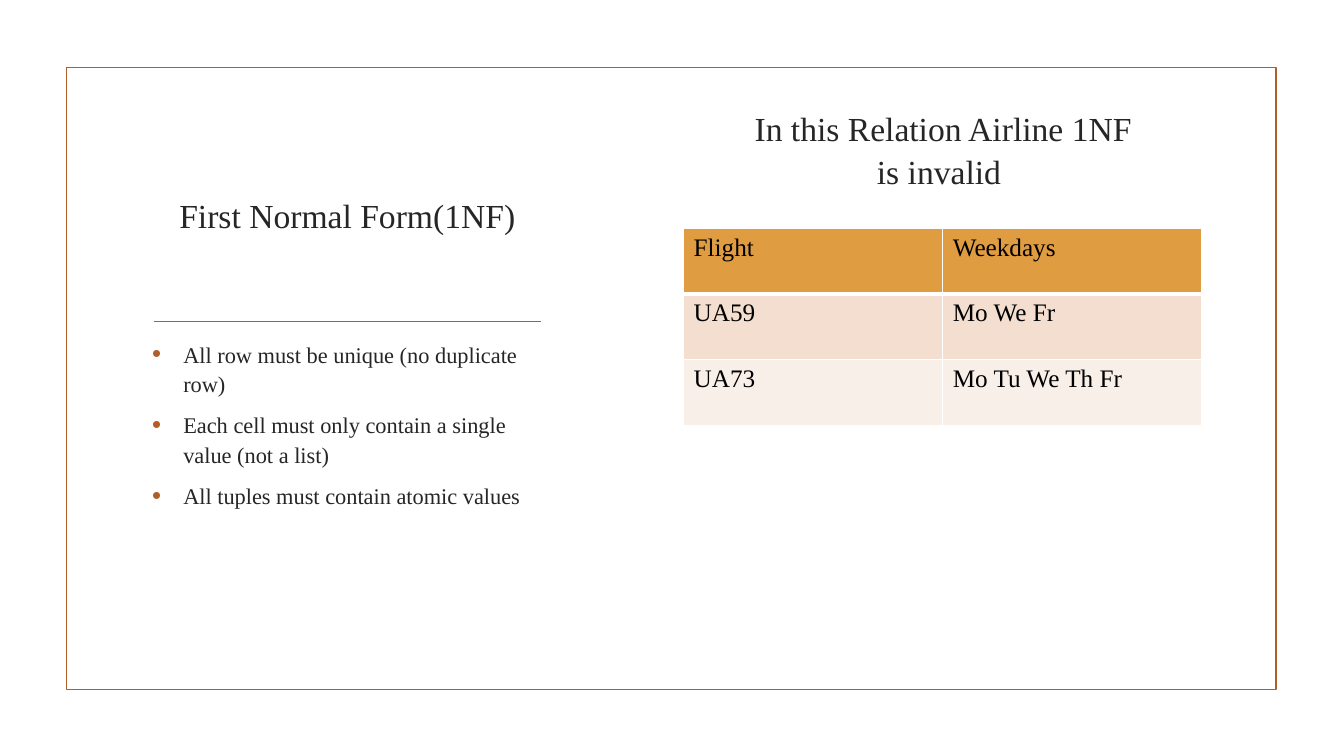
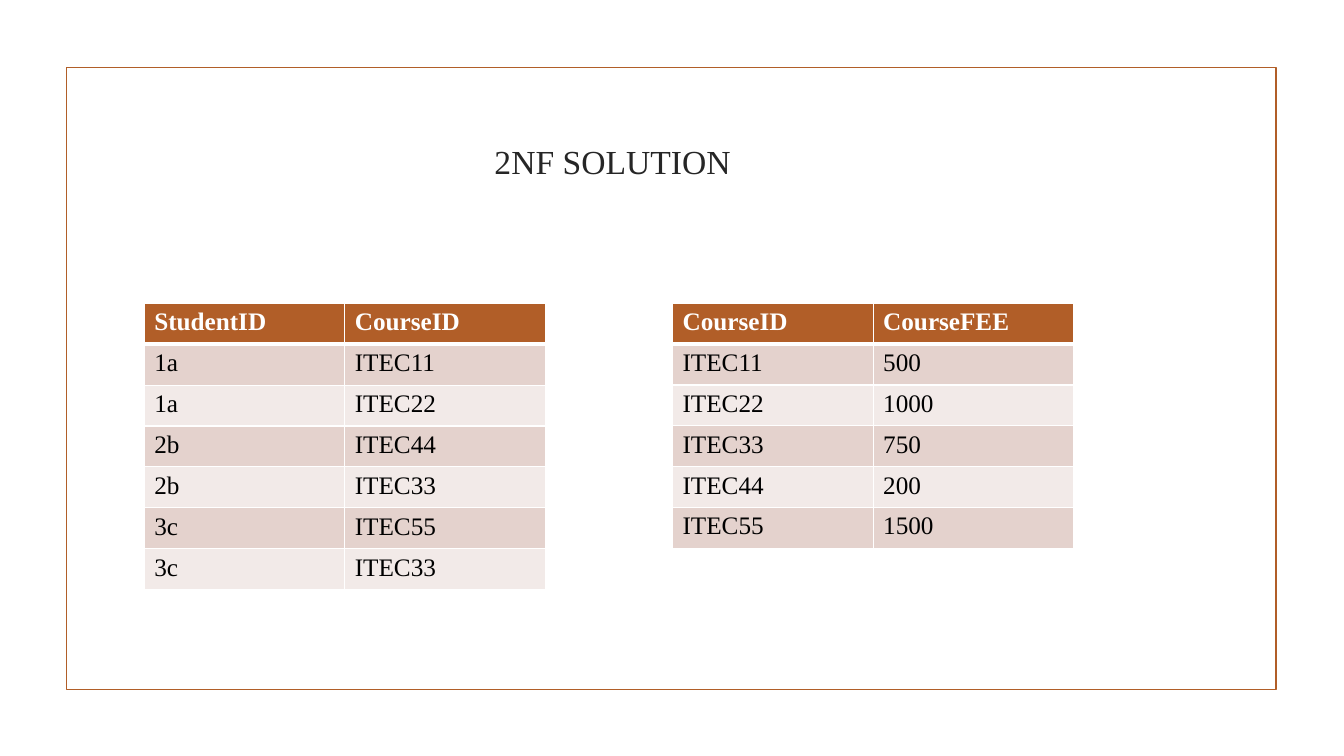
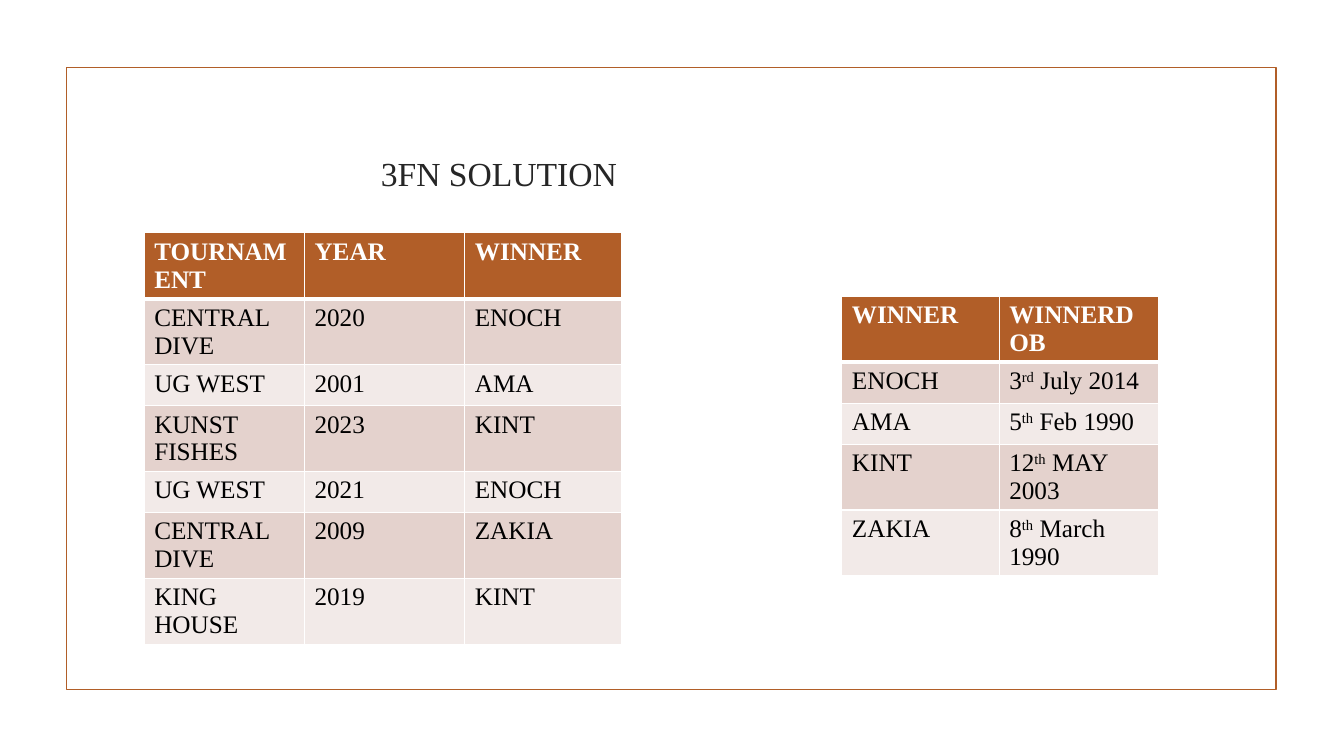
from lxml.etree import SubElement
from pptx import Presentation
from pptx.dml.color import RGBColor
from pptx.enum.shapes import MSO_CONNECTOR as Connector, MSO_SHAPE as Shape
from pptx.enum.text import MSO_ANCHOR as Anchor, PP_ALIGN as Align
from pptx.oxml.ns import qn
from pptx.util import Inches, Pt

FONT = "Times New Roman"
COLORS = {"accent": "B15E28", "text": "262626", "black": "000000", "white": "FFFFFF"}
AMBER = {"head": "E09C41", "bands": ("F3DECF", "F9EFE9"), "head_text": "black", "bold": False}
RUST = {"head": "B15E28", "bands": ("E4D2CD", "F2EAE8"), "head_text": "white", "bold": True}

# Content: boxes are left, top, width, height; ^ encloses superscripts
RULES = [
    "All row must be unique (no duplicate row)",
    "Each cell must only contain a single value (not a list)",
    "All tuples must contain atomic values",
]
SLIDES = [
    {
        "title": "First Normal Form(1NF)", "title_box": (1.41, 1.52, 4.07, 0.86),
        "subtitle": "In this Relation Airline 1NF is invalid ",
        "subtitle_box": (7.32, 1.09, 4.07, 0.86),
        "bullets": RULES, "bullets_box": (1.41, 3.31, 4.07, 2.67),
        "rule": (1.53, 3.19, 5.37, 3.19),
        "tables": [
            {"at": (6.78, 2.27), "widths": (2.57, 2.57), "height": 1.95, "style": AMBER,
             "rows": [("Flight", "Weekdays"), ("UA59", "Mo We Fr"),
                      ("UA73", "Mo Tu We Th Fr")]},
        ],
    },
    {
        "title": "2NF SOLUTION", "title_box": (2.39, 1.22, 7.37, 0.63),
        "tables": [
            {"at": (1.43, 3.01), "widths": (1.99, 1.99), "height": 2.84, "style": RUST,
             "rows": [("StudentID", "CourseID"), ("1a", "ITEC11"), ("1a", "ITEC22"),
                      ("2b", "ITEC44"), ("2b", "ITEC33"), ("3c", "ITEC55"),
                      ("3c", "ITEC33")]},
            {"at": (6.67, 3.01), "widths": (1.99, 1.99), "height": 2.43, "style": RUST,
             "rows": [("CourseID", "CourseFEE"), ("ITEC11", "500"), ("ITEC22", "1000"),
                      ("ITEC33", "750"), ("ITEC44", "200"), ("ITEC55", "1500")]},
        ],
    },
    {
        "title": "3FN SOLUTION ", "title_box": (1.43, 0.88, 7.12, 1.09),
        "tables": [
            {"at": (1.43, 2.31), "widths": (1.59, 1.59, 1.56), "height": 2.84, "style": RUST,
             "rows": [("TOURNAMENT", "YEAR", "WINNER"), ("CENTRAL DIVE", "2020", "ENOCH"),
                      ("UG WEST", "2001", "AMA"), ("KUNST FISHES", "2023", "KINT"),
                      ("UG WEST", "2021", "ENOCH"), ("CENTRAL DIVE", "2009", "ZAKIA"),
                      ("KING HOUSE", "2019", "KINT")]},
            {"at": (8.35, 2.94), "widths": (1.56, 1.58), "height": 2.03, "style": RUST,
             "rows": [("WINNER", "WINNERDOB"), ("ENOCH", "3^rd^ July 2014"),
                      ("AMA", "5^th^ Feb 1990"), ("KINT", "12^th^ MAY 2003"),
                      ("ZAKIA", "8^th^ March 1990")]},
        ],
    },
]


def rgb(name):
    return RGBColor.from_string(COLORS.get(name, name))


def inches(values):
    return [Inches(value) for value in values]


# Text
def add_bullet(para):
    props = para._p.get_or_add_pPr()
    props.set("marL", str(Inches(0.31)))
    props.set("indent", str(-Inches(0.31)))
    color = SubElement(props, qn("a:buClr"))
    SubElement(color, qn("a:srgbClr"), val=COLORS["accent"])
    SubElement(props, qn("a:buSzPct"), val="115000")
    SubElement(props, qn("a:buFont"), typeface="Arial")
    SubElement(props, qn("a:buChar"), char="•")


def write(frame, lines, size=18, color="text", bold=False, align=Align.LEFT,
          anchor=Anchor.TOP, spacing=1.0, bullets=False):
    frame.word_wrap = True
    frame.vertical_anchor = anchor
    for index, line in enumerate(lines):
        para = frame.add_paragraph() if index else frame.paragraphs[0]
        if bullets:
            add_bullet(para)
            para.space_after = Pt(6)
        para.space_before = Pt(size * 0.2 if index else 0)
        para.alignment = align
        para.line_spacing = spacing
        for part, text in enumerate(line.split("^")):
            span = para.add_run()
            span.text = text
            span.font.name, span.font.size = FONT, Pt(size)
            span.font.bold, span.font.color.rgb = bold, rgb(color)
            if part % 2:
                span._r.get_or_add_rPr().set("baseline", "30000")


HEADING = {"size": 24, "align": Align.CENTER, "anchor": Anchor.BOTTOM, "spacing": 1.08}


def add_title(slide, text, box):
    title = slide.shapes.title
    title.left, title.top, title.width, title.height = inches(box)
    write(title.text_frame, [text], **HEADING)


def add_text(slide, lines, box, **style):
    write(slide.shapes.add_textbox(*inches(box)).text_frame, lines, **style)


# Shared frame and rule
def add_frame(slide):
    frame = slide.shapes.add_shape(Shape.RECTANGLE, *inches((0.66, 0.67, 12, 6.17)))
    frame.shadow.inherit = False
    frame.fill.background()
    frame.line.color.rgb = rgb("accent")
    frame.line.width = Pt(1.25)


def add_rule(slide, ends):
    rule = slide.shapes.add_connector(Connector.STRAIGHT, *inches(ends))
    rule.line.color.rgb = rgb("accent")
    rule.line.width = Pt(1.25)
    SubElement(rule._element.spPr, qn("a:effectLst"))


# Tables
def add_borders(cell, row):
    widths = {"lnL": 1, "lnR": 1, "lnT": 3 if row == 1 else 1, "lnB": 1 if row else 3}
    for side, width in widths.items():
        line = SubElement(cell._tc.get_or_add_tcPr(), qn("a:" + side), w=str(Pt(width)))
        fill = SubElement(line, qn("a:solidFill"))
        SubElement(fill, qn("a:srgbClr"), val=COLORS["white"])


def add_table(slide, at, widths, height, style, rows):
    table = slide.shapes.add_table(len(rows), len(widths),
                                   *inches((*at, sum(widths), height))).table
    for column, width in zip(table.columns, widths):
        column.width = Inches(width)
    for index, values in enumerate(rows):
        head = index == 0
        fill = style["head"] if head else style["bands"][(index - 1) % 2]
        for cell, value in zip(table.rows[index].cells, values):
            add_borders(cell, index)
            cell.fill.solid()
            cell.fill.fore_color.rgb = rgb(fill)
            write(cell.text_frame, [value], bold=head and style["bold"],
                  color=style["head_text"] if head else "black")


def main():
    deck = Presentation()
    deck.slide_width, deck.slide_height = inches((13.33, 7.5))
    title_only = deck.slide_layouts[5]
    for page in SLIDES:
        slide = deck.slides.add_slide(title_only)
        add_frame(slide)
        add_title(slide, page["title"], page["title_box"])
        if "rule" in page:
            add_rule(slide, page["rule"])
        if "subtitle" in page:
            add_text(slide, [page["subtitle"]], page["subtitle_box"], **HEADING)
        if "bullets" in page:
            add_text(slide, page["bullets"], page["bullets_box"], size=16,
                     spacing=1.08, bullets=True)
        for table in page["tables"]:
            add_table(slide, **table)
    deck.save("out.pptx")


if __name__ == "__main__":
    main()
